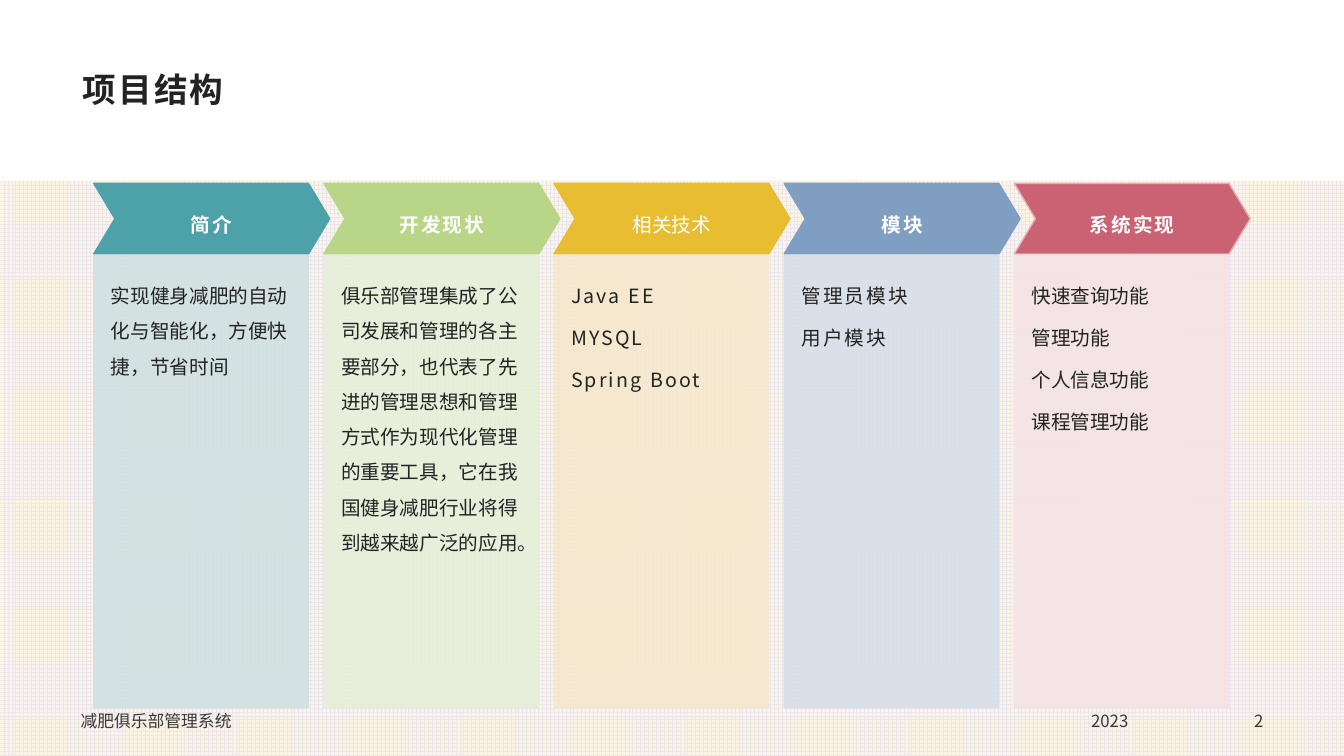
from dataclasses import dataclass

from lxml import etree
from pptx import Presentation
from pptx import util as u
from pptx.dml.color import RGBColor
from pptx.enum import dml, shapes, text
from pptx.oxml.ns import qn


@dataclass(frozen=True)
class Theme:
    ink: str = "232323"
    muted: str = "393939"
    white: str = "FFFFFF"
    cream: str = "FCF5E5"
    grid: str = "EBE6EB"
    font: str = "Noto Sans CJK SC"
    alt_font: str = "Noto Sans CJK JP"
    title: int = 24
    body: int = 14
    footer: int = 12


T = Theme()
SPACED = dict(spacing=150)
HEADING = dict(bold=True, **SPACED)
ALT = dict(font=T.alt_font)
LOOSE = dict(leading=1.5, after=4.9)

# heading, heading format, body paragraphs, body format, header, outline, panel
COLUMNS = [
    ("简介", HEADING, ["实现健身减肥的自动化与智能化，方便快捷，节省时间"], ALT,
     "4DA1A8", "4DA1A8", "D0E0E1"),
    ("开发现状", HEADING,
     ["俱乐部管理集成了公司发展和管理的各主要部分，也代表了先进的管理思想和管理方式"
      "作为现代化管理的重要工具，它在我国健身减肥行业将得到越来越广泛的应用。"], ALT,
     "B9D587", "B9D587", "E6EFD9"),
    ("相关技术", ALT, ["Java EE", "MYSQL", "Spring Boot"], SPACED,
     "E8BD32", "E8BD32", "F6E8CE"),
    ("模块", HEADING, ["管理员模块", "用户模块"], SPACED,
     "809EC2", "809EC2", "D8DFE9"),
    ("系统实现", HEADING, ["快速查询功能", "管理功能", "个人信息功能", "课程管理功能"], ALT,
     "CA6274", "E3ADB6", "F4E3E5"),
]


def rgb(value):
    return RGBColor.from_string(value)


def inches(*box):
    return [u.Inches(v) for v in box]


def write(sp, lines, size=T.body, color=T.ink, font=T.font, bold=False, spacing=0,
          align=text.PP_ALIGN.LEFT, anchor=text.MSO_ANCHOR.MIDDLE,
          insets=(0.1, 0.05, 0.1, 0.05), leading=1.0, after=0):
    """Fill a shape with paragraphs; spacing is in hundredths of a point."""
    tf = sp.text_frame
    tf.word_wrap = True
    tf.auto_size = text.MSO_AUTO_SIZE.NONE
    tf.vertical_anchor = anchor
    tf.margin_left, tf.margin_top, tf.margin_right, tf.margin_bottom = inches(*insets)
    for i, line in enumerate(lines):
        p = tf.add_paragraph() if i else tf.paragraphs[0]
        p.alignment, p.line_spacing, p.space_after = align, leading, u.Pt(after)
        r = p.add_run()
        r.text = line
        f = r.font
        f.size, f.bold, f.name = u.Pt(size), bold, font
        f.color.rgb = rgb(color)
        rpr = f._element
        rpr.set("spc", str(spacing))
        ea = etree.Element(qn("a:ea"), typeface=font)
        rpr.find(qn("a:latin")).addnext(ea)


def add_block(s, kind, box, fill, line=None, alpha=None):
    sp = s.shapes.add_shape(kind, *inches(*box))
    sp.shadow.inherit = False
    sp.fill.solid()
    sp.fill.fore_color.rgb = rgb(fill)
    if line:
        sp.line.color.rgb = rgb(line)
        sp.line.width = u.Pt(1)
    else:
        sp.line.fill.background()
    if alpha:
        for clr in sp._element.spPr.iter(qn("a:srgbClr")):
            etree.SubElement(clr, qn("a:alpha"), val=str(alpha * 1000))
    return sp


def add_background(s, x, y, w, h):
    add_block(s, shapes.MSO_SHAPE.RECTANGLE, (x, y, w, h), T.cream)
    sp = add_block(s, shapes.MSO_SHAPE.RECTANGLE, (x, y + 0.01, w, h), T.cream)
    sp.fill.patterned()
    sp.fill.pattern = dml.MSO_PATTERN.LARGE_GRID
    sp.fill.fore_color.rgb = rgb(T.grid)
    sp.fill.back_color.rgb = rgb(T.cream)


def add_title(s, x, y, w, h):
    sp = s.shapes.title
    sp.left, sp.top, sp.width, sp.height = inches(x, y, w, h)
    write(sp, ["项目结构"], size=T.title, bold=True, leading=0.9,
          insets=(0.12, 0.12, 0.12, 0.1), **SPACED)


def add_column(s, x, y, w, h, column):
    heading, heading_format, lines, body_format, fill, line, panel = column
    head_h, point = 0.7, 0.21
    sp = add_block(s, shapes.MSO_SHAPE.CHEVRON, (x, y, w, head_h), fill, line)
    sp.adjustments[0] = point / head_h
    write(sp, [heading], color=T.white, align=text.PP_ALIGN.CENTER,
          insets=(0.09,) * 4, **LOOSE, **heading_format)
    sp = add_block(s, shapes.MSO_SHAPE.RECTANGLE,
                   (x, y + head_h + 0.01, w - point, h - head_h - 0.01),
                   panel, panel, alpha=90)
    write(sp, lines, anchor=text.MSO_ANCHOR.TOP, insets=(0.17, 0.17, 0.17, 0.34),
          **LOOSE, **body_format)


def add_columns(s, x, y, w, h):
    column_w = 2.34
    pitch = (w - column_w) / (len(COLUMNS) - 1)
    for i, column in enumerate(COLUMNS):
        add_column(s, x + i * pitch, y, column_w, h, column)


def add_footer(s, x, y, w, h):
    right = text.PP_ALIGN.RIGHT
    for label, dx, width, align in [("减肥俱乐部管理系统", 0, 6.88, text.PP_ALIGN.LEFT),
                                    ("2023", 7.27, 3.32, right),
                                    ("2", w - 0.92, 0.92, right)]:
        sp = s.shapes.add_textbox(*inches(x + dx, y, width, h))
        write(sp, [label], size=T.footer, color=T.muted, align=align)


def main():
    prs = Presentation()
    prs.slide_width, prs.slide_height = inches(13.33, 7.5)
    s = prs.slides.add_slide(prs.slide_layouts[5])
    add_background(s, 0, 1.79, 13.33, 5.71)
    add_title(s, 0.7, 0.52, 11.93, 0.75)
    add_footer(s, 0.7, 6.95, 11.93, 0.4)
    add_columns(s, 0.93, 1.82, 11.47, 5.2)
    prs.save("out.pptx")


if __name__ == "__main__":
    main()
